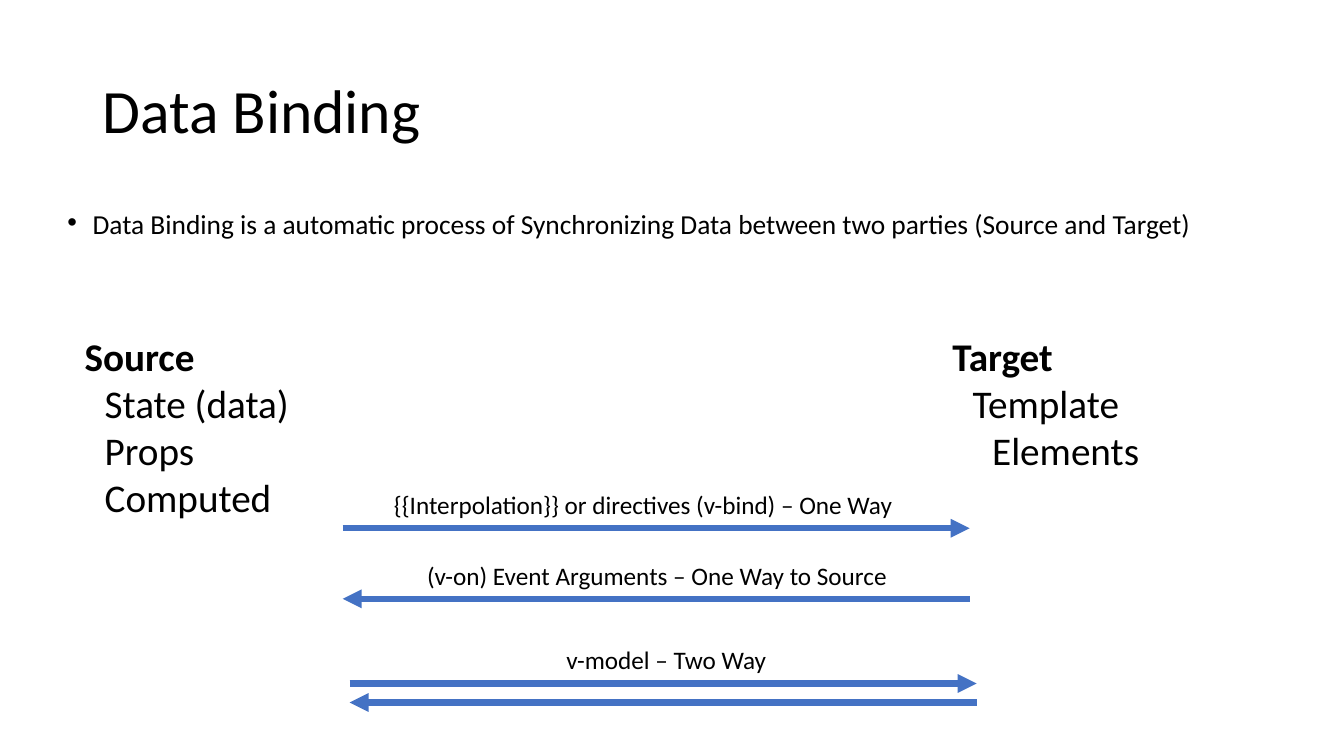
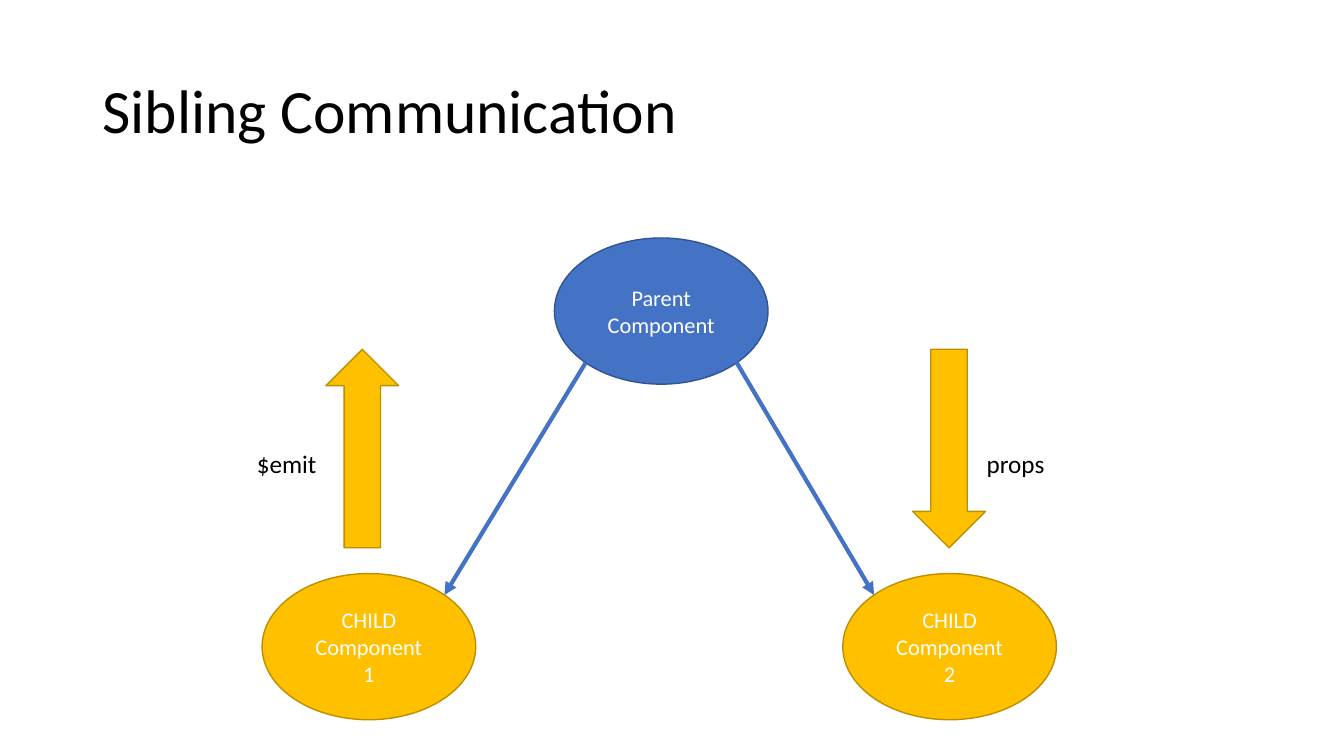
"""Build two slides on data binding and sibling communication."""
from math import sqrt

from lxml.etree import SubElement
from pptx import Presentation
from pptx.dml.color import RGBColor
from pptx.enum.shapes import MSO_CONNECTOR, MSO_SHAPE
from pptx.enum.text import MSO_ANCHOR, MSO_AUTO_SIZE, PP_ALIGN
from pptx.oxml.ns import qn
from pptx.util import Pt

FONT = "Calibri"
BLACK, WHITE = "000000", "FFFFFF"
BLUE, BLUE_EDGE = "4472C4", "325491"
GOLD, GOLD_EDGE = "FFC000", "BD8E00"

TITLE_BOX = (66, 28.8, 828, 104.4)
BODY_BOX = (41, 150.5, 879, 33)
TITLE_LAYOUT, BODY_LAYOUT = 5, 1

DEFINITION = ("Data Binding is a automatic process of Synchronizing Data "
              "between two parties (Source and Target)")
PARTIES_TOP = 234
PARTIES = [
    (53.3, "Source", [("State (data)", 14.4), ("Props", 14.4), ("Computed", 14.4)]),
    (673.2, "Target", [("Template", 14.4), ("Elements", 28.4)]),
]
FLOW_LENGTH = 447.8
FLOWS = [
    (244.8, 377.3, "right"),
    (244.8, 427.7, "left"),
    (249.8, 488.2, "right"),
    (249.8, 501.8, "left"),
]
FLOW_LABELS = [
    ("{{Interpolation}} or directives (v-bind) – One Way", 274.3, 345.6, 389),
    ("(v-on) Event Arguments – One Way to Source", 298, 396.7, 365),
    ("v-model – Two Way", 397.4, 456.5, 170),
]

OVAL_WIDTH, OVAL_HEIGHT = 152.6, 104.4
PARENT = (472.3, 222.2)
CHILDREN = [("1", 263.5, 461.9), ("2", 678.3, 461.9)]
ARROW_TOP, ARROW_WIDTH, ARROW_HEIGHT = 249.5, 52, 141.8
MESSAGES = [
    ("$emit", 176.4, MSO_SHAPE.UP_ARROW, 258.8),
    ("props", 697.7, MSO_SHAPE.DOWN_ARROW, 677.9),
]
MESSAGE_TOP = 316.8


def color(value):
    return RGBColor.from_string(value)


def points(*values):
    return [Pt(value) for value in values]


def write(frame, lines, size=18, fill=BLACK, bold_first=False, indents=(),
          align=PP_ALIGN.LEFT, anchor=MSO_ANCHOR.TOP, spacing=None, before=0, hanging=0):
    frame.word_wrap = True
    frame.auto_size = MSO_AUTO_SIZE.NONE
    frame.vertical_anchor = anchor
    for index, line in enumerate(lines):
        paragraph = frame.paragraphs[0] if index == 0 else frame.add_paragraph()
        paragraph.alignment = align
        paragraph.space_before = Pt(before)
        if spacing:
            paragraph.line_spacing = spacing
        if indents:
            properties = paragraph._p.get_or_add_pPr()
            properties.set("marL", str(Pt(indents[index])))
            properties.set("indent", str(Pt(-hanging)))
        run = paragraph.add_run()
        run.text = line
        run.font.name = FONT
        run.font.size = Pt(size)
        run.font.bold = bold_first and index == 0
        run.font.color.rgb = color(fill)


def place(shape, box):
    shape.left, shape.top, shape.width, shape.height = points(*box)


def add_slide(presentation, layout, title):
    slide = presentation.slides.add_slide(presentation.slide_layouts[layout])
    place(slide.shapes.title, TITLE_BOX)
    write(slide.shapes.title.text_frame, [title], size=44,
          anchor=MSO_ANCHOR.MIDDLE, spacing=0.9)
    return slide


def add_label(slide, box, lines, **style):
    write(slide.shapes.add_textbox(*points(*box)).text_frame, lines, **style)


def add_filled(slide, kind, box, fill, edge):
    shape = slide.shapes.add_shape(kind, *points(*box))
    shape.shadow.inherit = False
    shape.fill.solid()
    shape.fill.fore_color.rgb = color(fill)
    shape.line.color.rgb = color(edge)
    shape.line.width = Pt(1)
    return shape


def add_oval(slide, center, lines, fill, edge):
    box = (center[0] - OVAL_WIDTH / 2, center[1] - OVAL_HEIGHT / 2, OVAL_WIDTH, OVAL_HEIGHT)
    oval = add_filled(slide, MSO_SHAPE.OVAL, box, fill, edge)
    write(oval.text_frame, lines, size=16, fill=WHITE,
          align=PP_ALIGN.CENTER, anchor=MSO_ANCHOR.MIDDLE)


def oval_corner(center, across, down):
    return (center[0] + across * OVAL_WIDTH / sqrt(8),
            center[1] + down * OVAL_HEIGHT / sqrt(8))


def add_arrow(slide, start, end, width):
    connector = slide.shapes.add_connector(MSO_CONNECTOR.STRAIGHT, *points(*start, *end))
    connector.line.color.rgb = color(BLUE)
    connector.line.width = Pt(width)
    SubElement(connector.line._get_or_add_ln(), qn("a:tailEnd"), type="triangle")
    SubElement(connector._element.spPr, qn("a:effectLst"))


def build_binding(presentation):
    slide = add_slide(presentation, BODY_LAYOUT, "Data Binding")
    body = slide.placeholders[1]
    place(body, BODY_BOX)
    write(body.text_frame, [DEFINITION], size=19.6, spacing=0.7, before=10,
          indents=[18], hanging=18)
    for left, heading, items in PARTIES:
        lines = [heading] + [text for text, indent in items]
        indents = [0] + [indent for text, indent in items]
        add_label(slide, (left, PARTIES_TOP, 171, 34 * len(lines) + 7), lines,
                  size=28, bold_first=True, indents=indents)
    for left, top, direction in FLOWS:
        ends = [(left, top), (left + FLOW_LENGTH, top)]
        if direction == "left":
            ends.reverse()
        add_arrow(slide, *ends, width=4.5)
    for text, left, top, width in FLOW_LABELS:
        add_label(slide, (left, top, width, 29), [text])


def build_siblings(presentation):
    slide = add_slide(presentation, TITLE_LAYOUT, "Sibling Communication")
    add_oval(slide, PARENT, ["Parent Component"], BLUE, BLUE_EDGE)
    for number, *center in CHILDREN:
        add_oval(slide, center, ["CHILD Component", number], GOLD, GOLD_EDGE)
        side = 1 if center[0] > PARENT[0] else -1
        add_arrow(slide, oval_corner(PARENT, side, 1), oval_corner(center, -side, -1), width=3)
    for text, left, kind, middle in MESSAGES:
        box = (middle - ARROW_WIDTH / 2, ARROW_TOP, ARROW_WIDTH, ARROW_HEIGHT)
        add_filled(slide, kind, box, GOLD, GOLD_EDGE)
        add_label(slide, (left, MESSAGE_TOP, 64, 29), [text])


def main():
    presentation = Presentation()
    presentation.slide_width, presentation.slide_height = points(960, 540)
    build_binding(presentation)
    build_siblings(presentation)
    presentation.save("out.pptx")


if __name__ == "__main__":
    main()
